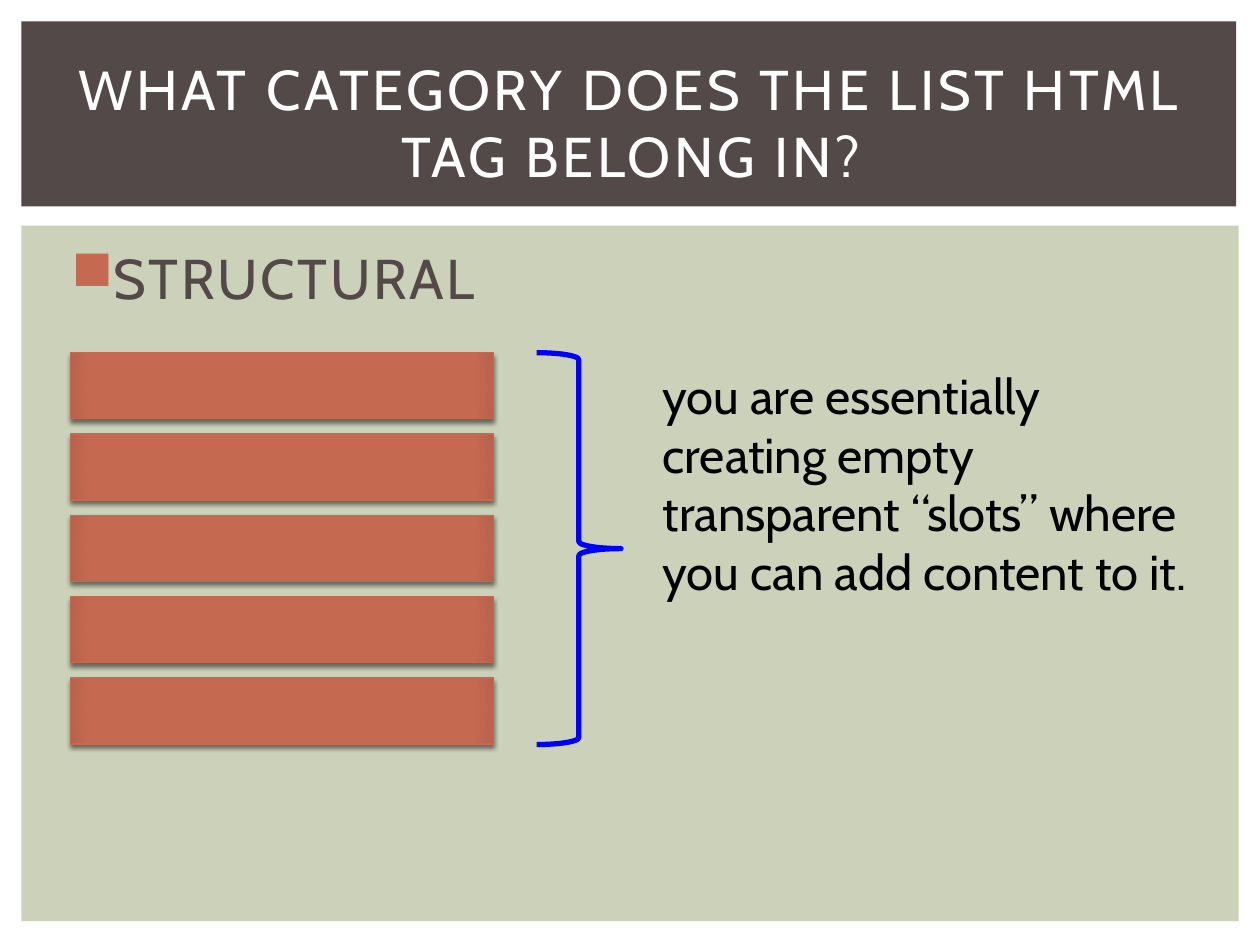
from lxml import etree
from pptx import Presentation
from pptx import util as u
from pptx.dml.color import RGBColor
from pptx.enum import shapes, text
from pptx.oxml import parse_xml
from pptx.oxml.ns import nsdecls, qn

FONT = "Cabin"
RUST, RUST_DARK, BROWN, SAGE = "C66951", "B8624B", "534949", "CCD1B9"
WHITE, BLACK, BLUE = "FFFFFF", "000000", "0000FF"


def rgb(value):
    return RGBColor.from_string(value)


def box(*lengths):
    return [u.Cm(n) for n in lengths]


def add_shape(s, kind, place, fill=None, line=None, width=1):
    sp = s.shapes.add_shape(kind, *box(*place))
    sp.shadow.inherit = False
    if fill:
        sp.fill.solid()
        sp.fill.fore_color.rgb = rgb(fill)
    else:
        sp.fill.background()
    if line:
        sp.line.color.rgb = rgb(line)
        sp.line.width = u.Pt(width)
    else:
        sp.line.fill.background()
    return sp


def add_slot(s, place):
    """Bar with darkened edges and a soft shadow below."""
    sp = add_shape(s, shapes.MSO_SHAPE.RECTANGLE, place, RUST, RUST, 0.79)
    spPr = sp._element.spPr
    stops = "".join(
        f'<a:gs pos="{pos * 1000}"><a:srgbClr val="{color}"/></a:gs>'
        for pos, color in ((0, RUST), (90, RUST), (100, RUST_DARK)))
    gradient = parse_xml(
        f'<a:gradFill {nsdecls("a")}><a:gsLst>{stops}</a:gsLst><a:path path="circle">'
        '<a:fillToRect l="100000" t="100000" r="100000" b="100000"/>'
        '</a:path></a:gradFill>')
    spPr.replace(spPr.find(qn("a:solidFill")), gradient)
    spPr.find(qn("a:effectLst")).append(parse_xml(
        f'<a:outerShdw {nsdecls("a")} blurRad="{u.Pt(2.5)}" dist="{u.Pt(2)}" '
        'dir="5400000" rotWithShape="0"><a:srgbClr val="000000">'
        '<a:alpha val="50000"/></a:srgbClr></a:outerShdw>'))


def add_bullet(p, color):
    pPr = p._p.get_or_add_pPr()
    pPr.set("marL", str(u.Cm(0.76)))
    pPr.set("indent", str(u.Cm(-0.64)))
    bu = etree.SubElement(pPr, qn("a:buClr"))
    etree.SubElement(bu, qn("a:srgbClr"), val=color)
    etree.SubElement(pPr, qn("a:buChar"), char="■")


def write(sp, *lines, size=32, color=BLACK, spacing=0, bullet=None,
          align=text.PP_ALIGN.LEFT, anchor=text.MSO_ANCHOR.TOP):
    tf = sp.text_frame
    tf.word_wrap = True
    tf.auto_size = text.MSO_AUTO_SIZE.NONE
    tf.vertical_anchor = anchor
    for i, line in enumerate(lines):
        p = tf.add_paragraph() if i else tf.paragraphs[0]
        p.alignment = align
        if bullet:
            add_bullet(p, bullet)
        r = p.add_run()
        r.text = line
        r.font.name = FONT
        r.font.size = u.Pt(size)
        r.font.color.rgb = rgb(color)
        if spacing:
            r.font._element.set("spc", str(int(spacing * 100)))


def add_title(s, place, line):
    title = s.shapes.title
    title.left, title.top, title.width, title.height = box(*place)
    write(title, line, color=WHITE, spacing=2,
          align=text.PP_ALIGN.CENTER, anchor=text.MSO_ANCHOR.MIDDLE)
    title._element.getparent().append(title._element)  # above the panels


def main():
    prs = Presentation()
    prs.slide_width, prs.slide_height = box(25.4, 19.05)
    s = prs.slides.add_slide(prs.slide_layouts[5])

    rect = shapes.MSO_SHAPE.RECTANGLE
    add_shape(s, rect, (0.43, 4.55, 24.54, 14.02), SAGE)
    add_shape(s, rect, (0.43, 0.43, 24.49, 3.73), BROWN)
    add_title(s, (1.07, 0.99, 23.29, 2.92),
              "WHAT CATEGORY DOES THE LIST HTML TAG BELONG IN?")

    answer = s.shapes.add_textbox(*box(1.07, 4.78, 23.34, 12.24))
    write(answer, "STRUCTURAL", color=BROWN, spacing=1.5, bullet=RUST)

    for i in range(5):
        add_slot(s, (1.42, 7.11 + 1.64 * i, 8.53, 1.33))
    add_shape(s, shapes.MSO_SHAPE.RIGHT_BRACE, (10.82, 7.11, 1.7, 7.9),
              line=BLUE, width=3)

    note = s.shapes.add_textbox(*box(13.11, 7.24, 11.23, 5.05))
    write(note, "you are essentially creating empty",
          "transparent “slots” where you can add content to it.", size=28)

    prs.save("out.pptx")


if __name__ == "__main__":
    main()
